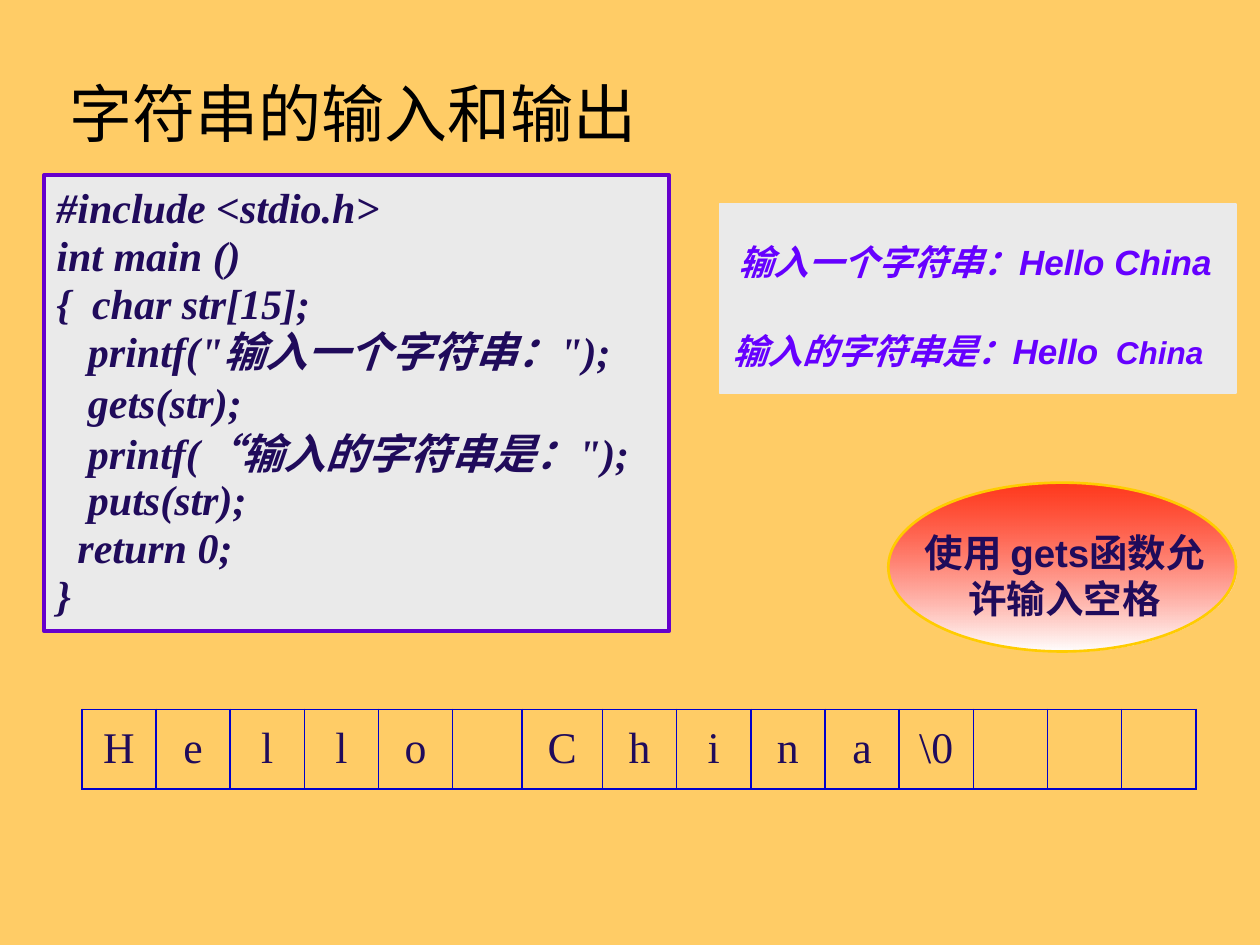
from lxml.etree import SubElement
from pptx import Presentation
from pptx.dml.color import RGBColor
from pptx.enum.shapes import MSO_SHAPE
from pptx.enum.text import MSO_ANCHOR, PP_ALIGN
from pptx.oxml import parse_xml
from pptx.oxml.ns import nsdecls, qn
from pptx.util import Pt

SAND = RGBColor(0xFF, 0xCC, 0x66)
BLACK = RGBColor(0, 0, 0)
NAVY = RGBColor(0x20, 0x0B, 0x5B)
PURPLE = RGBColor(0x66, 0x00, 0xCC)
VIOLET = RGBColor(0x66, 0x00, 0xFF)
GREY = RGBColor(0xEA, 0xEA, 0xEA)
RED = RGBColor(0xFF, 0, 0)
WHITE = RGBColor(0xFF, 0xFF, 0xFF)
GOLD = RGBColor(0xFF, 0xCC, 0)
BLUE = RGBColor(0, 0, 0xCC)

CJK, SANS, SERIF = "Noto Sans CJK SC", "Arial", "Times New Roman"

TITLE = dict(name=CJK, size=Pt(36))
CODE = dict(name=SERIF, size=Pt(24), bold=True, italic=True)
OUTPUT = dict(name=SANS, size=Pt(20), bold=True, italic=True)
NOTE = dict(name=SANS, size=Pt(22), bold=True)
LETTER = dict(name=SERIF, size=Pt(25), bold=False)

# Each code line with its line spacing
CODE_LINES = [
    ("#include <stdio.h>", 0.95),
    ("int main ()", 0.95),
    ("{  char str[15];", 0.95),
    ('   printf("输入一个字符串：");', 0.95),
    ("   gets(str);", 1.0),
    ('   printf(“输入的字符串是：");', 1.0),
    ("   puts(str);", 0.95),
    ("  return 0;", 0.95),
    ("}", 0.95),
]
LETTERS = ["H", "e", "l", "l", "o", "", "C", "h", "i", "n", "a", "\\0", "", "", ""]
COL_WIDTH = 42.4
SPECIAL_WIDTHS = {5: 39.6, 6: 46}


def add_run(p, text, fmt, color):
    r = p.add_run()
    r.text = text
    for key, value in fmt.items():
        setattr(r.font, key, value)
    r.font.color.rgb = color
    SubElement(r.font._element, qn("a:ea")).set("typeface", CJK)


def add_text(shapes, box, runs, color, align=PP_ALIGN.CENTER, anchor=MSO_ANCHOR.TOP):
    tf = shapes.add_textbox(*map(Pt, box)).text_frame
    tf.word_wrap = True
    tf.vertical_anchor = anchor
    p = tf.paragraphs[0]
    p.alignment = align
    for text, fmt in runs:
        add_run(p, text, fmt, color)


def add_panel(shapes, kind, box, line, width):
    sp = shapes.add_shape(kind, *map(Pt, box))
    sp.shadow.inherit = False
    sp.fill.solid()
    sp.fill.fore_color.rgb = GREY
    sp.line.color.rgb = line
    sp.line.width = Pt(width)
    return sp


def add_code(shapes, box):
    sp = add_panel(shapes, MSO_SHAPE.RECTANGLE, box, PURPLE, 2.25)
    tf = sp.text_frame
    tf.word_wrap = True
    tf.vertical_anchor = MSO_ANCHOR.MIDDLE
    for i, (text, spacing) in enumerate(CODE_LINES):
        p = tf.add_paragraph() if i else tf.paragraphs[0]
        p.alignment = PP_ALIGN.LEFT
        p.line_spacing = spacing
        add_run(p, text, CODE, NAVY)


def add_callout(shapes):
    group = shapes.add_group_shape().shapes
    sp = add_panel(group, MSO_SHAPE.OVAL, (507.6, 275.8, 198.7, 96.5), GOLD, 1.5)
    sp.fill.gradient()
    sp.fill.gradient_angle = 270
    for stop, color, position in zip(sp.fill.gradient_stops, (RED, WHITE), (0, 1)):
        stop.color.rgb = color
        stop.position = position
    # The red end is partly transparent
    red = sp._element.spPr.find(".//" + qn("a:srgbClr"))
    SubElement(red, qn("a:alpha")).set("val", "72000")
    add_text(group, (510.5, 298.8, 195.8, 59.8), [("使用 gets函数允许输入空格", NOTE)], NAVY)


def set_borders(cell, color, width):
    tc_pr = cell._tc.get_or_add_tcPr()
    for i, side in enumerate("LRTB"):
        tc_pr.insert(i, parse_xml(
            f'<a:ln{side} {nsdecls("a")} w="{Pt(width)}"><a:solidFill>'
            f'<a:srgbClr val="{color}"/></a:solidFill></a:ln{side}>'))


def add_letters(shapes, box):
    table = shapes.add_table(1, len(LETTERS), *map(Pt, box)).table
    table.first_row = table.horz_banding = False
    for i, letter in enumerate(LETTERS):
        table.columns[i].width = Pt(SPECIAL_WIDTHS.get(i, COL_WIDTH))
        cell = table.cell(0, i)
        cell.fill.background()
        set_borders(cell, BLUE, 1)
        cell.vertical_anchor = MSO_ANCHOR.MIDDLE
        if letter:
            p = cell.text_frame.paragraphs[0]
            p.alignment = PP_ALIGN.CENTER
            add_run(p, letter, LETTER, NAVY)


def main():
    prs = Presentation()
    prs.slide_width, prs.slide_height = Pt(720), Pt(540)
    s = prs.slides.add_slide(prs.slide_layouts[6])
    s.background.fill.solid()
    s.background.fill.fore_color.rgb = SAND

    # Title and program
    add_text(s.shapes, (32.4, 38.2, 648, 51.8), [("字符串的输入和输出", TITLE)],
             BLACK, PP_ALIGN.LEFT, MSO_ANCHOR.MIDDLE)
    add_code(s.shapes, (25.2, 100.1, 357.1, 260.6))

    # Program output
    add_panel(s.shapes, MSO_SHAPE.RECTANGLE, (411.1, 116.6, 295.2, 108), GREY, 0.75)
    add_text(s.shapes, (411.1, 133.9, 292.3, 31),
             [("输入一个字符串：Hello China", OUTPUT)], VIOLET)
    add_text(s.shapes, (405.4, 185, 295.2, 31),
             [("输入的字符串是：Hello", OUTPUT),
              ("  ", dict(name=SANS, size=Pt(18))),
              ("China", {**OUTPUT, "size": Pt(18)})], VIOLET)

    # Remark and memory cells
    add_callout(s.shapes)
    add_letters(s.shapes, (46.8, 405.4, 636.8, 45.4))
    prs.save("out.pptx")


if __name__ == "__main__":
    main()
